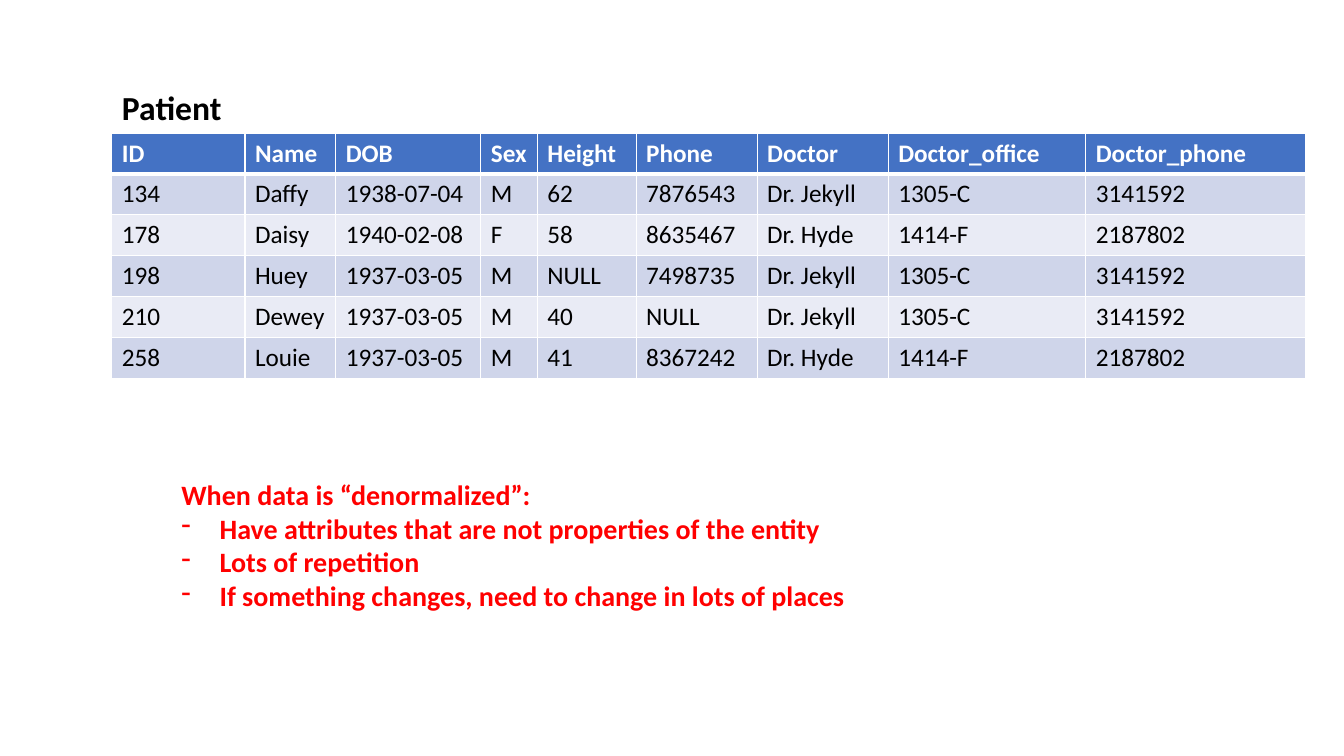
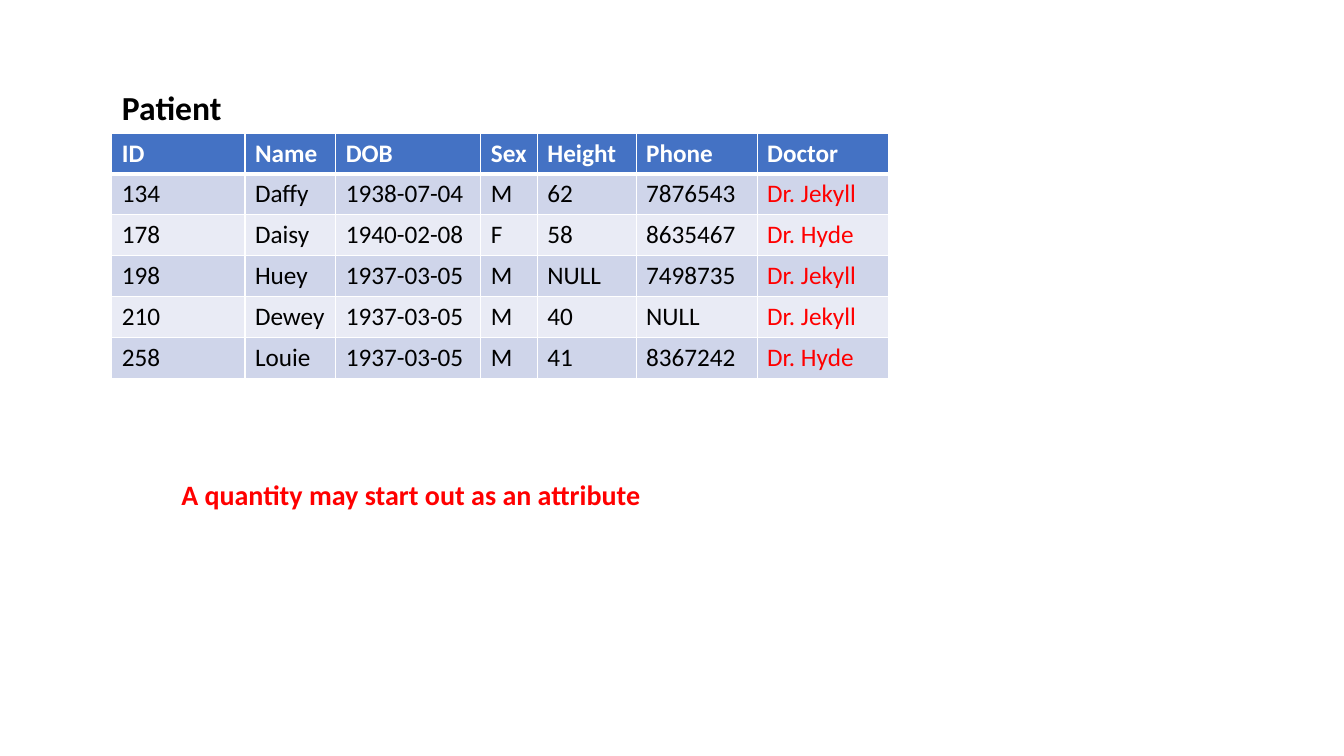
from lxml.etree import SubElement
from pptx import Presentation
from pptx.dml.color import RGBColor
from pptx.enum.text import MSO_ANCHOR, MSO_AUTO_SIZE, PP_ALIGN
from pptx.oxml.ns import qn
from pptx.util import Inches, Pt

# Shared style
FONT = "Calibri"
WHITE, BLACK, RED = "FFFFFF", "000000", "FF0000"
HEADER_BLUE = "4472C4"
BANDS = ("CFD5EA", "E9EBF5")
LEFT = 1.11
ROW_HEIGHT = 0.405
BULLET_INDENT = 0.38

# Patient data
COLUMN_WIDTHS = {
    "ID": 1.32, "Name": 0.9, "DOB": 1.44, "Sex": 0.56, "Height": 0.98,
    "Phone": 1.2, "Doctor": 1.3, "Doctor_office": 1.96, "Doctor_phone": 2.18,
}
PATIENTS = [
    ("134", "Daffy", "1938-07-04", "M", "62", "7876543", "Dr. Jekyll"),
    ("178", "Daisy", "1940-02-08", "F", "58", "8635467", "Dr. Hyde"),
    ("198", "Huey", "1937-03-05", "M", "NULL", "7498735", "Dr. Jekyll"),
    ("210", "Dewey", "1937-03-05", "M", "40", "NULL", "Dr. Jekyll"),
    ("258", "Louie", "1937-03-05", "M", "41", "8367242", "Dr. Hyde"),
]
DOCTOR_CONTACTS = {
    "Dr. Jekyll": ("1305-C", "3141592"),
    "Dr. Hyde": ("1414-F", "2187802"),
}


def rgb(hex_color):
    return RGBColor.from_string(hex_color)


def write(paragraph, text, size=18, color=BLACK, bold=False):
    """Put formatted, left-aligned text in a paragraph."""
    paragraph.alignment = PP_ALIGN.LEFT
    run = paragraph.add_run()
    run.text = text
    run.font.name = FONT
    run.font.size = Pt(size)
    run.font.bold = bold
    run.font.color.rgb = rgb(color)


def add_bullet(paragraph, mark="-"):
    properties = paragraph._p.get_or_add_pPr()
    properties.set("marL", str(Inches(BULLET_INDENT)))
    properties.set("indent", str(-Inches(BULLET_INDENT)))
    SubElement(properties, qn("a:buFontTx"))
    SubElement(properties, qn("a:buChar"), char=mark)


def set_borders(cell, **widths):
    """Draw white borders; widths are points for L, R, T and B."""
    properties = cell._tc.get_or_add_tcPr()
    for side in "LRTB":
        line = SubElement(properties, qn(f"a:ln{side}"),
                          w=str(Pt(widths.get(side, 1))))
        fill = SubElement(line, qn("a:solidFill"))
        SubElement(fill, qn("a:srgbClr"), val=WHITE)


def add_title(slide, text):
    title = slide.shapes.title
    title.left, title.top = Inches(LEFT), Inches(0.81)
    title.width, title.height = Inches(1.2), Inches(0.5)
    frame = title.text_frame
    frame.word_wrap = False
    frame.auto_size = MSO_AUTO_SIZE.NONE
    frame.vertical_anchor = MSO_ANCHOR.TOP
    write(frame.paragraphs[0], text, size=24, bold=True)


def add_table(slide, rows, doctor_color=BLACK):
    """Add a banded table whose columns are the first ones of the schema."""
    headings = list(COLUMN_WIDTHS)[:len(rows[0])]
    widths = [COLUMN_WIDTHS[heading] for heading in headings]
    table = slide.shapes.add_table(
        len(rows) + 1, len(headings), Inches(LEFT), Inches(1.32),
        Inches(sum(widths)), Inches(ROW_HEIGHT * (len(rows) + 1))).table
    for column, width in zip(table.columns, widths):
        column.width = Inches(width)

    for row_index, values in enumerate([headings, *rows]):
        is_header = row_index == 0
        for column_index, value in enumerate(values):
            cell = table.cell(row_index, column_index)
            if is_header:
                set_borders(cell, B=3)
                background, color = HEADER_BLUE, WHITE
            else:
                set_borders(cell, T=3 if row_index == 1 else 1)
                background = BANDS[(row_index - 1) % 2]
                is_doctor = headings[column_index] == "Doctor"
                color = doctor_color if is_doctor else BLACK
            cell.fill.solid()
            cell.fill.fore_color.rgb = rgb(background)
            write(cell.text_frame.paragraphs[0], value,
                  color=color, bold=is_header)


def add_remark(slide, lead, points=(), width=4.8, height=0.44):
    """Add a red remark with optional dashed points below it."""
    frame = slide.shapes.add_textbox(
        Inches(1.7), Inches(4.69), Inches(width), Inches(height)).text_frame
    frame.word_wrap = False
    frame.auto_size = MSO_AUTO_SIZE.SHAPE_TO_FIT_TEXT
    write(frame.paragraphs[0], lead, size=20, color=RED, bold=True)
    for point in points:
        paragraph = frame.add_paragraph()
        write(paragraph, point, size=20, color=RED, bold=True)
        add_bullet(paragraph)


def add_patient_slide(deck):
    slide = deck.slides.add_slide(deck.slide_layouts[5])
    add_title(slide, "Patient")
    return slide


def main():
    deck = Presentation()
    deck.slide_width, deck.slide_height = Inches(13.33), Inches(7.5)

    # Denormalized table
    denormalized = add_patient_slide(deck)
    add_table(denormalized,
              [patient + DOCTOR_CONTACTS[patient[-1]] for patient in PATIENTS])
    add_remark(denormalized, "When data is “denormalized”:", [
        "Have attributes that are not properties of the entity",
        "Lots of repetition",
        "If something changes, need to change in lots of places",
    ], width=6.83, height=1.45)

    # Doctor as a plain attribute
    attribute = add_patient_slide(deck)
    add_table(attribute, PATIENTS, doctor_color=RED)
    add_remark(attribute, "A quantity may start out as an attribute")

    deck.save("out.pptx")


if __name__ == "__main__":
    main()
